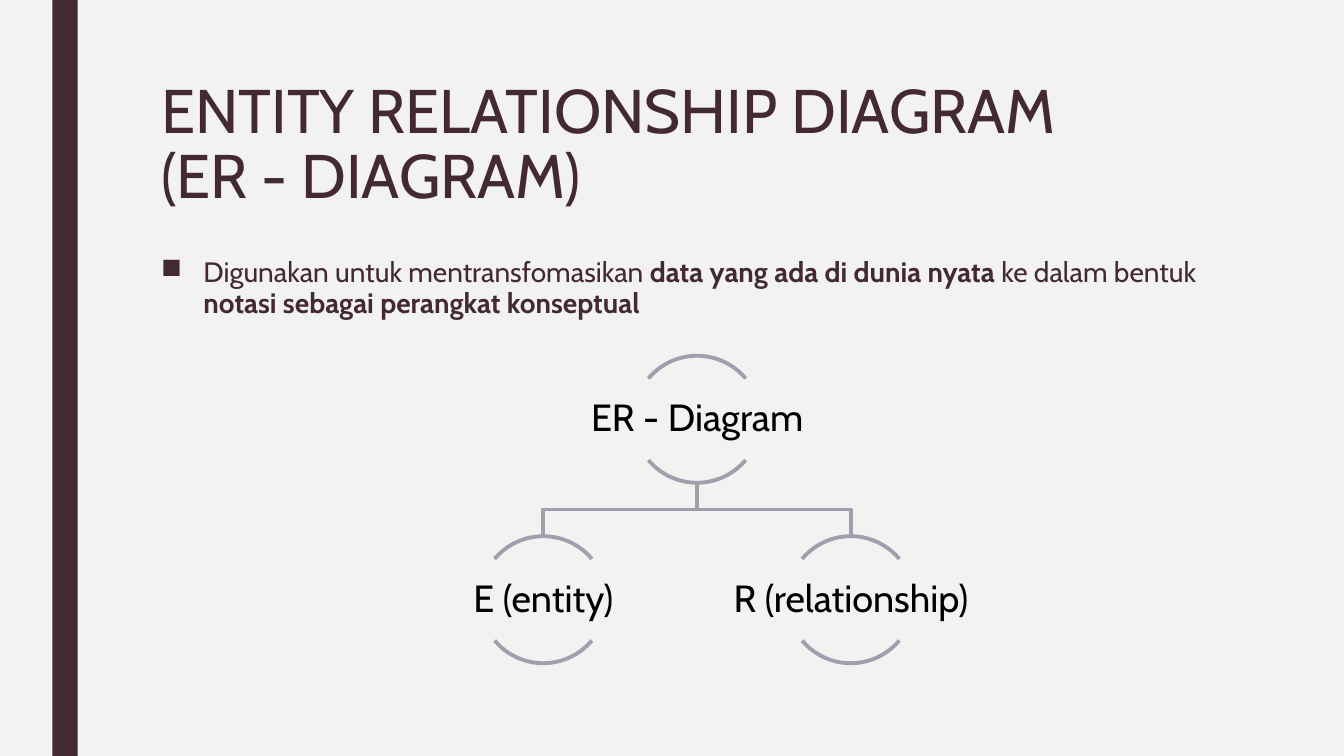
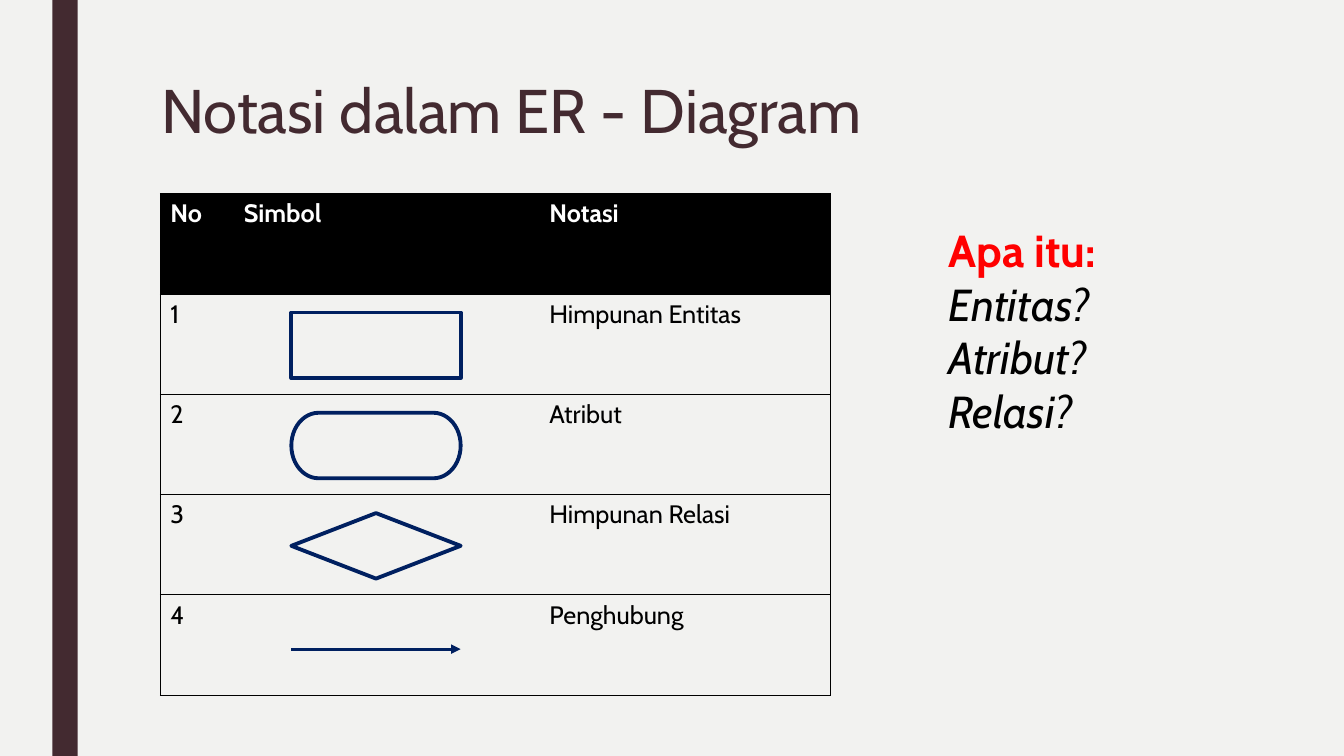
"""Build two slides that introduce entity relationship diagrams and their notation."""
from dataclasses import dataclass

from lxml.etree import SubElement
from pptx import Presentation
from pptx.dml.color import RGBColor as Color
from pptx.enum.shapes import MSO_CONNECTOR as Connector, MSO_SHAPE as Preset
from pptx.enum.text import MSO_ANCHOR as Anchor, PP_ALIGN as Align
from pptx.oxml.ns import qn
from pptx.util import Inches, Pt


@dataclass(frozen=True)
class Theme:
    font: str = "Cabin"
    paper: str = "F2F2F0"
    plum: str = "432A30"
    mauve: str = "A49DAD"
    navy: str = "002060"
    black: str = "000000"
    white: str = "FFFFFF"
    red: str = "FF0000"
    title: float = 44
    question: float = 32
    label: float = 27
    body: float = 20
    cell: float = 18
    stroke: float = 2.75
    arrow: float = 2.25
    border: float = 0.5


THEME = Theme()
CELL = 0.25
COLUMNS, ROWS = 53.33, 30
LEFT, CONTENT_WIDTH = 6, 42


def grid(*cells):
    return [Inches(count * CELL) for count in cells]


def apply(target, formats):
    for name, value in formats.items():
        setattr(target, name, value)


class Sketcher:
    def __init__(self, theme):
        self.theme = theme
        self.deck = Presentation()
        self.deck.slide_width, self.deck.slide_height = grid(COLUMNS, ROWS)
        fill = self.deck.slide_master.background.fill
        fill.solid()
        fill.fore_color.rgb = Color.from_string(theme.paper)
        self.page = None

    def new_page(self, title):
        self.page = self.deck.slides.add_slide(self.deck.slide_layouts[6])
        self.shape(Preset.RECTANGLE, (2.08, 0, 1, ROWS), fill=self.theme.plum)
        self.text((LEFT, 3, CONTENT_WIDTH, 6.5), [[(title, {})]],
                  self.theme.title, self.theme.plum, {"line_spacing": 0.89})

    def fill_frame(self, frame, paragraphs, size, color, para_formats):
        for index, spans in enumerate(paragraphs):
            para = frame.add_paragraph() if index else frame.paragraphs[0]
            apply(para, para_formats)
            for text, changes in spans:
                lines = text.split("\n")
                for number, line in enumerate(lines):
                    if number:
                        para.add_line_break()
                    span = para.add_run()
                    span.text = line
                    formats = {"name": self.theme.font, "size": Pt(size), **changes}
                    span_color = formats.pop("color", color)
                    apply(span.font, formats)
                    span.font.color.rgb = Color.from_string(span_color)

    def text(self, area, paragraphs, size, color, para_formats=None, frame_formats=None):
        box = self.page.shapes.add_textbox(*grid(*area))
        apply(box.text_frame, {"word_wrap": True, **(frame_formats or {})})
        self.fill_frame(box.text_frame, paragraphs, size, color, para_formats or {})
        return box

    def bullet(self, area, spans):
        box = self.text(area, [spans], self.theme.body, self.theme.plum,
                        {"line_spacing": 0.94, "space_before": Pt(10), "space_after": Pt(2)})
        props = box.text_frame.paragraphs[0]._p.get_or_add_pPr()
        indent = Inches(0.42)
        props.set("marL", str(indent))
        props.set("indent", str(-indent))
        SubElement(props, qn("a:buChar"), char="■")

    def paint(self, shape, fill=None, line=None):
        shape.shadow.inherit = False
        if fill:
            shape.fill.solid()
            shape.fill.fore_color.rgb = Color.from_string(fill)
        else:
            shape.fill.background()
        if line:
            shape.line.color.rgb = Color.from_string(line)
            shape.line.width = Pt(self.theme.stroke)
        else:
            shape.line.fill.background()

    def shape(self, preset, area, fill=None, line=None, adjustments=()):
        shape = self.page.shapes.add_shape(preset, *grid(*area))
        for index, value in enumerate(adjustments):
            shape.adjustments[index] = value
        self.paint(shape, fill, line)

    def branch(self, points):
        start, *rest = [tuple(grid(*point)) for point in points]
        builder = self.page.shapes.build_freeform(*start)
        builder.add_line_segments(rest, close=False)
        self.paint(builder.convert_to_shape(), line=self.theme.mauve)

    def arrow(self, start, end):
        connector = self.page.shapes.add_connector(Connector.STRAIGHT, *grid(*start, *end))
        connector.line.color.rgb = Color.from_string(self.theme.navy)
        connector.line.width = Pt(self.theme.arrow)
        props = connector._element.spPr
        SubElement(props.get_or_add_ln(), qn("a:tailEnd"), type="triangle")
        SubElement(props, qn("a:effectLst"))

    def node(self, center, top, size, label):
        for arc in ((132, 192), (24, 84)):
            self.shape(Preset.ARC, (center - size / 2, top, size, size),
                       line=self.theme.mauve, adjustments=arc)
        height = 3.24
        margins = dict.fromkeys(
            ("margin_left", "margin_top", "margin_right", "margin_bottom"), Inches(0.02))
        self.text((center - size, top + (size - height) / 2, 2 * size, height),
                  [[(label, {})]], self.theme.label, self.theme.black,
                  {"alignment": Align.CENTER, "line_spacing": 0.9},
                  {"vertical_anchor": Anchor.MIDDLE, **margins})

    def borders(self, cell, visible):
        props = cell._tc.get_or_add_tcPr()
        for side in ("lnL", "lnR", "lnT", "lnB"):
            line = SubElement(props, qn(f"a:{side}"), w=str(Pt(self.theme.border)))
            if side in visible:
                fill = SubElement(line, qn("a:solidFill"))
                SubElement(fill, qn("a:srgbClr"), val=self.theme.black)
            else:
                SubElement(line, qn("a:noFill"))

    def table(self, left, top, widths, row_height, rows):
        area = (left, top, sum(widths), row_height * len(rows))
        table = self.page.shapes.add_table(len(rows), len(widths), *grid(*area)).table
        apply(table, {"first_row": False, "horz_banding": False})
        for column, width in zip(table.columns, grid(*widths)):
            column.width = width
        for row_index, texts in enumerate(rows):
            header = row_index == 0
            color = self.theme.white if header else self.theme.black
            for column_index, text in enumerate(texts):
                cell = table.cell(row_index, column_index)
                visible = {"lnT", "lnB"}
                if column_index == 0:
                    visible.add("lnL")
                if column_index == len(widths) - 1:
                    visible.add("lnR")
                self.borders(cell, visible)
                if header:
                    cell.fill.solid()
                    cell.fill.fore_color.rgb = Color.from_string(self.theme.black)
                else:
                    cell.fill.background()
                if text:
                    self.fill_frame(cell.text_frame, [[(text, {"bold": header})]],
                                    self.theme.cell, color, {})


def diagram_page(sketch):
    sketch.new_page("ENTITY RELATIONSHIP DIAGRAM\n(ER - DIAGRAM)")
    bold = {"bold": True}
    sketch.bullet((LEFT, 10, CONTENT_WIDTH, 15.68), [
        ("Digunakan untuk mentransfomasikan ", {}),
        ("data yang ada di dunia nyata ", bold),
        ("ke dalam bentuk ", {}),
        ("notasi sebagai perangkat konseptual", bold),
    ])
    center, spread, size = 27.66, 6.1, 5.04
    root_top, child_top = 14.12, 21.28
    root_bottom = root_top + size
    middle = (root_bottom + child_top) / 2
    children = ((center - spread, "E (entity)"), (center + spread, "R (relationship)"))
    for child, _ in children:
        sketch.branch([(center, root_bottom), (center, middle),
                       (child, middle), (child, child_top)])
    sketch.node(center, root_top, size, "ER - Diagram")
    for child, label in children:
        sketch.node(child, child_top, size, label)


def notation_page(sketch):
    sketch.new_page("Notasi dalam ER - Diagram")
    top, row_height = 7.68, 3.98
    names = ("Himpunan Entitas", "Atribut", "Himpunan Relasi", "Penghubung")
    rows = [("No", "Simbol", "Notasi")]
    rows += [(str(number), "", name) for number, name in enumerate(names, 1)]
    sketch.table(6.36, top, (2.92, 12.12, 11.56), row_height, rows)

    left, width, height = 11.56, 6.72, 2.6
    presets = (Preset.RECTANGLE, Preset.FLOWCHART_TERMINATOR, Preset.DIAMOND)
    for number, preset in enumerate(presets, 1):
        symbol_top = top + number * row_height + 0.74
        sketch.shape(preset, (left, symbol_top, width, height), line=THEME.navy)
    arrow_row = 25.76
    sketch.arrow((left, arrow_row), (left + width, arrow_row))

    questions = [[("Apa itu:", {"bold": True, "color": THEME.red})]]
    questions += [[(text, {"italic": True})] for text in ("Entitas?", "Atribut?", "Relasi?")]
    sketch.text((37.24, 8.64, 7, 9.04), questions, THEME.question, THEME.black,
                frame_formats={"word_wrap": False})


def main():
    sketch = Sketcher(THEME)
    diagram_page(sketch)
    notation_page(sketch)
    sketch.deck.save("out.pptx")


if __name__ == "__main__":
    main()
